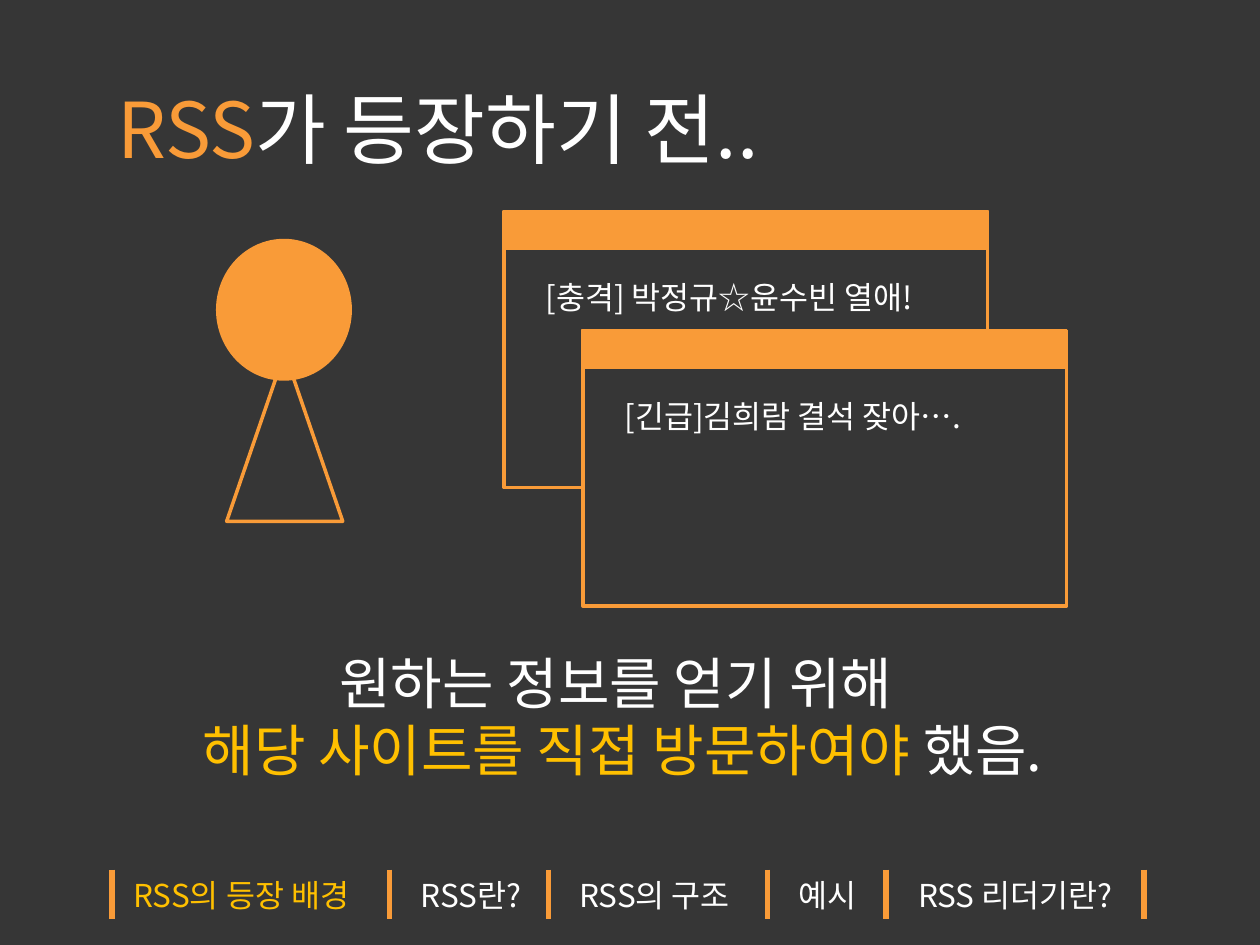
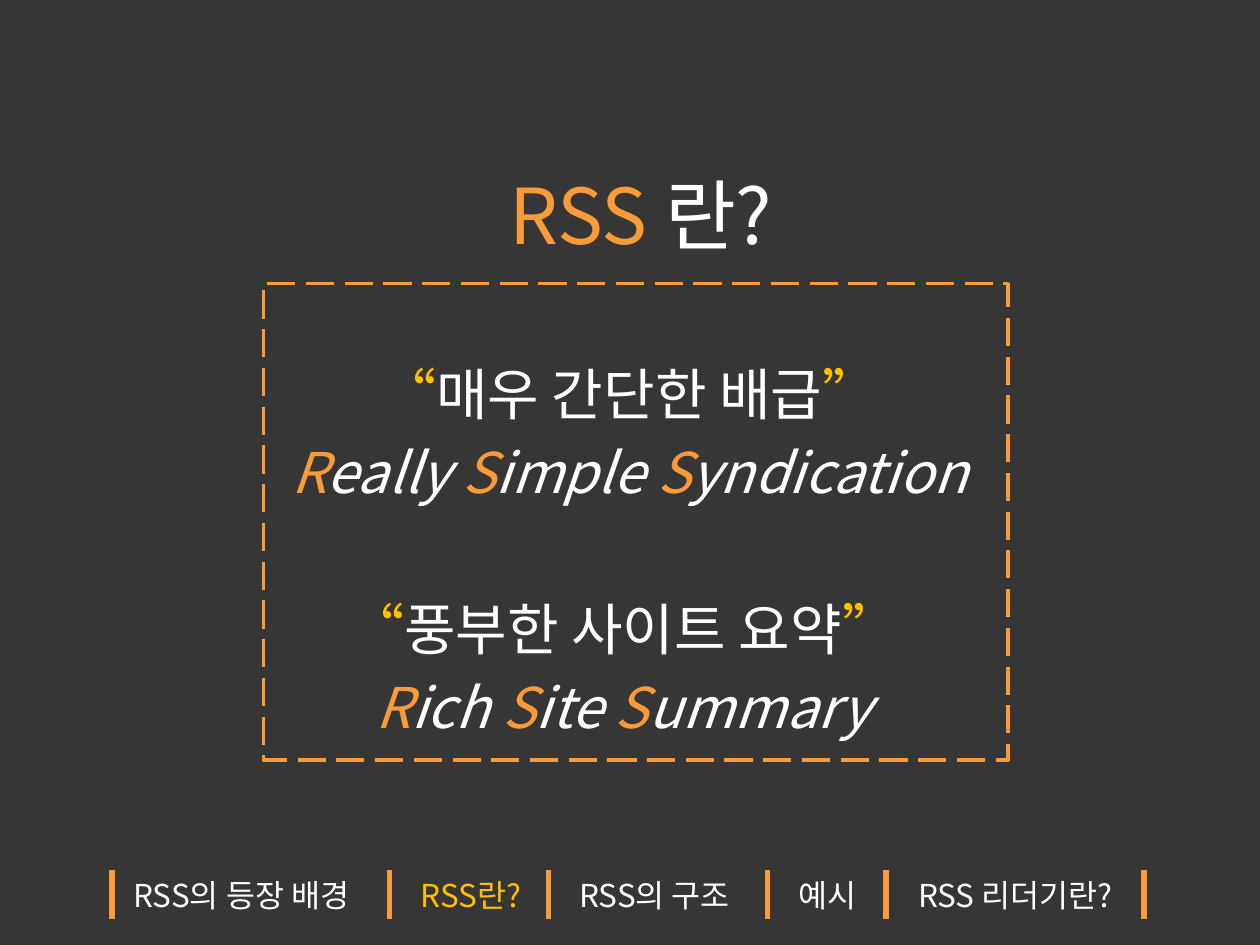
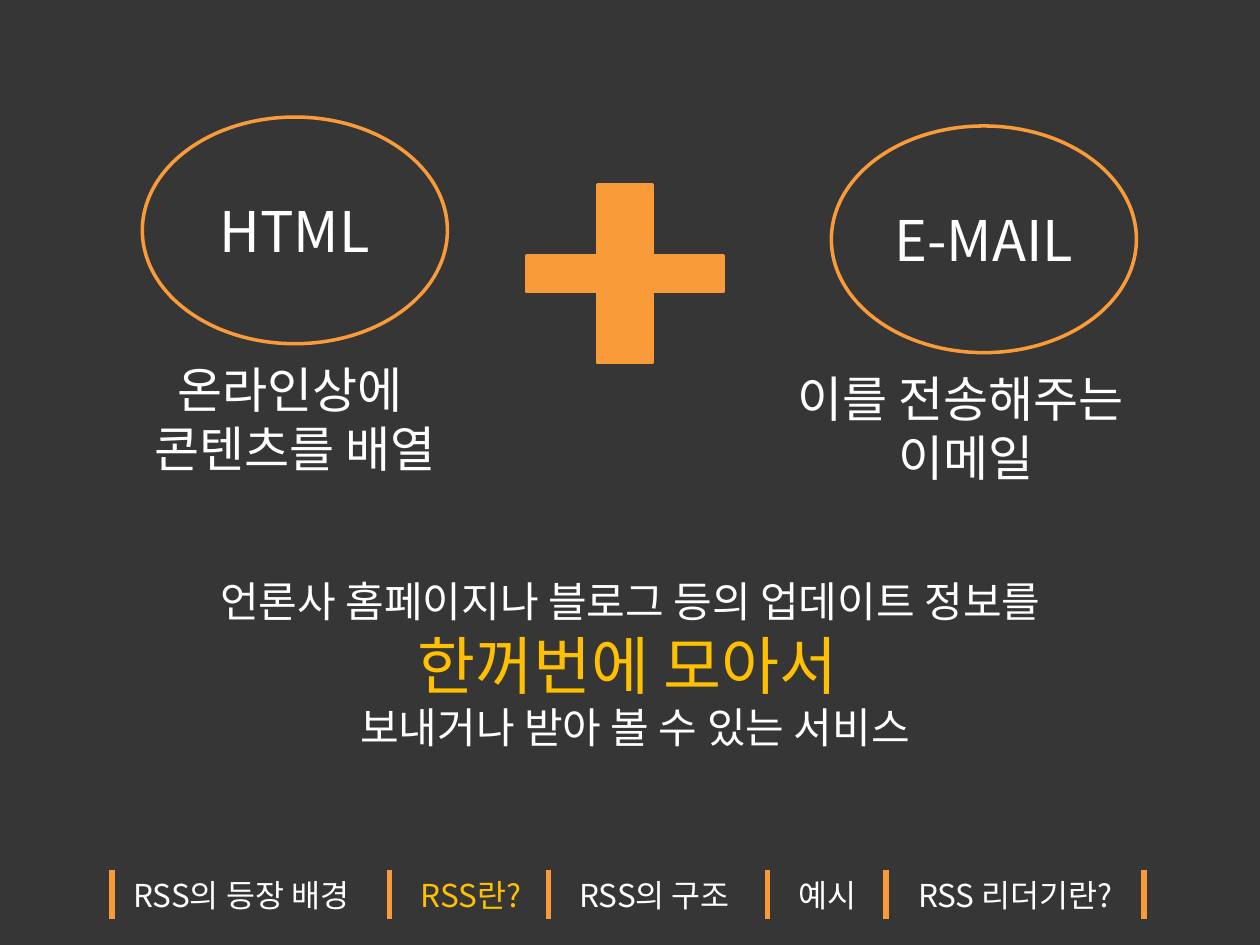
from lxml import etree
from pptx import Presentation
from pptx import util as u
from pptx.dml import color
from pptx.enum import dml, shapes, text
from pptx.oxml import ns

# ---- Shared style ----
FONT = "Noto Sans CJK KR"
COLORS = {"bg": "363636", "accent": "F99B38", "white": "FFFFFF", "gold": "FFC000"}
CENTER = text.PP_ALIGN.CENTER
LEFT = text.PP_ALIGN.LEFT

# ---- Content: a paragraph is a list of (text, colour) runs ----
# Tabs: label, divider left, gap to label, label width (cm)
TABS = [
    ("RSS의 등장 배경", 2.26, 0.18, 5.26),
    ("RSS란?", 7.85, 0.38, 2.54),
    ("RSS의 구조", 11.05, 0.38, 3.76),
    ("예시", 15.47, 0.38, 1.8),
    ("RSS 리더기란?", 17.86, 0.4, 4.67),
]
TABS_END, TABS_TOP, TABS_HEIGHT = 23.06, 17.53, 0.99

BEFORE_TITLE = [("RSS", "accent"), ("가 등장하기 전..", "white")]
WINDOWS = [  # left, top, headline
    (10.16, 4.27, "[충격] 박정규☆윤수빈 열애!"),
    (11.75, 6.66, "[긴급]김희람 결석 잦아…."),
]
BEFORE_SUMMARY = [
    [("원하는 정보를 얻기 위해 ", "white")],
    [("해당 사이트를 직접 방문하여야 ", "gold"), ("했음.", "white")],
]

WHAT_TITLE = [("RSS ", "accent"), ("란?", "white")]
MEANINGS = [  # Korean meaning, English words
    ([("“", "gold"), ("매우 간단한 배급", "white"), ("”", "gold")],
     [("R", "accent"), ("eally ", "white"), ("S", "accent"), ("imple ", "white"),
      ("S", "accent"), ("yndication", "white")]),
    ([("“", "gold"), ("풍부한 사이트 요약", "white"), ("” ", "gold")],
     [("R", "accent"), ("ich ", "white"), ("S", "accent"), ("ite ", "white"),
      ("S", "accent"), ("ummary ", "white")]),
]

PARTS = [  # ellipse left, top, label, caption left, width, caption lines
    (2.87, 2.36, "HTML", 2.49, 6.93, ["온라인상에 ", "콘텐츠를 배열"]),
    (16.76, 2.54, "E-MAIL", 15.19, 8.33, ["이를 전송해주는", " 이메일"]),
]
SERVICE = [  # text, colour, size
    ("언론사 홈페이지나 블로그 등의 업데이트 정보를 ", "white", 24),
    ("한꺼번에 모아서 ", "gold", 36),
    ("보내거나 받아 볼 수 있는 서비스", "white", 24),
]


# ---- Helpers ----
def rgb(name):
    return color.RGBColor.from_string(COLORS[name])


def cm(*lengths):
    return [u.Cm(n) for n in lengths]


def add_runs(p, runs, align=LEFT, **fmt):
    p.alignment = align
    for words, tone in runs:
        r = p.add_run()
        r.text = words
        r.font.color.rgb = rgb(tone)
        for key, value in {"name": FONT, **fmt}.items():
            setattr(r.font, key, value)
        etree.SubElement(r.font._element, ns.qn("a:ea"), typeface=FONT)


def next_paragraph(tf):
    return tf.add_paragraph() if tf.paragraphs[0].runs else tf.paragraphs[0]


def add_text(slide, box, paragraphs, size, align=LEFT, wrap=True):
    tf = slide.shapes.add_textbox(*cm(*box)).text_frame
    tf.word_wrap = wrap
    tf.auto_size = text.MSO_AUTO_SIZE.SHAPE_TO_FIT_TEXT
    for runs in paragraphs:
        add_runs(next_paragraph(tf), runs, align, size=u.Pt(size))
    return tf


def add_shape(slide, kind, box, fill=None):
    sp = slide.shapes.add_shape(kind, *cm(*box))
    sp.shadow.inherit = False
    if fill:
        sp.fill.solid()
        sp.fill.fore_color.rgb = rgb(fill)
    else:
        sp.fill.background()
    sp.line.color.rgb = rgb("accent")
    sp.line.width = u.Pt(2)
    return sp


def place(sp, box, anchor):
    sp.left, sp.top, sp.width, sp.height = cm(*box)
    tf = sp.text_frame
    tf.vertical_anchor = anchor
    tf.auto_size = text.MSO_AUTO_SIZE.NONE
    tf.word_wrap = True
    return tf


def set_title(slide, box, runs, align, anchor):
    tf = place(slide.shapes.title, box, anchor)
    add_runs(tf.paragraphs[0], runs, align, size=u.Pt(44))


def add_tabs(slide, active):
    for x in [tab[1] for tab in TABS] + [TABS_END]:
        line = slide.shapes.add_connector(
            shapes.MSO_CONNECTOR.STRAIGHT,
            *cm(x, TABS_TOP, x, TABS_TOP + TABS_HEIGHT))
        line.line.color.rgb = rgb("accent")
        line.line.width = u.Pt(3)
        etree.SubElement(line._element.spPr, ns.qn("a:effectLst"))
    for i, (label, x, gap, width) in enumerate(TABS):
        tone = "gold" if i == active else "white"
        add_text(slide, (x + gap, TABS_TOP, width, 1.02), [[(label, tone)]], 18, wrap=False)


# ---- Slides ----
def build_before(prs):
    slide = prs.slides.add_slide(prs.slide_layouts[5])
    set_title(slide, (2.11, 1.52, 15.19, 2.13), BEFORE_TITLE, LEFT, text.MSO_ANCHOR.TOP)
    # Reader
    add_shape(slide, shapes.MSO_SHAPE.ISOSCELES_TRIANGLE, (4.57, 7.11, 2.34, 3.4))
    add_shape(slide, shapes.MSO_SHAPE.OVAL, (4.39, 4.85, 2.67, 2.79), "accent")
    # Browser windows
    for x, y, headline in WINDOWS:
        add_shape(slide, shapes.MSO_SHAPE.RECTANGLE, (x, y, 9.75, 5.56), "bg")
        add_shape(slide, shapes.MSO_SHAPE.RECTANGLE, (x, y, 9.75, 0.74), "accent")
        add_text(slide, (x + 0.59, y + 1.21, 8.48, 1.02), [[(headline, "white")]], 18)
    add_text(slide, (1.3, 12.95, 22.5, 3), BEFORE_SUMMARY, 32, CENTER)
    add_tabs(slide, 0)


def build_what(prs):
    slide = prs.slides.add_slide(prs.slide_layouts[1])
    # Dashed frame, behind the text
    frame = add_shape(slide, shapes.MSO_SHAPE.RECTANGLE, (5.31, 5.72, 15.01, 9.6), "bg")
    frame.line.dash_style = dml.MSO_LINE.LONG_DASH
    slide.shapes._spTree.insert(2, frame._element)
    set_title(slide, (9.3, 2.72, 7.24, 3.18), WHAT_TITLE, CENTER, text.MSO_ANCHOR.MIDDLE)
    # Two readings of the acronym
    tf = place(slide.placeholders[1], (4.09, 5.54, 17.2, 9.4), text.MSO_ANCHOR.TOP)
    tf.margin_top = u.Cm(1.7)
    for i, meaning in enumerate(MEANINGS):
        for runs, italic in zip(meaning, (False, True)):
            p = next_paragraph(tf)
            add_runs(p, runs, CENTER, size=u.Pt(32), italic=italic)
            if i and not italic:
                p.space_before = u.Pt(51)
            etree.SubElement(p._p.get_or_add_pPr(), ns.qn("a:buNone"))
    add_tabs(slide, 1)


def build_service(prs):
    slide = prs.slides.add_slide(prs.slide_layouts[6])
    # Two parts and their captions
    for x, y, label, cap_x, cap_w, lines in PARTS:
        sp = add_shape(slide, shapes.MSO_SHAPE.OVAL, (x, y, 6.15, 4.57))
        sp.text_frame.vertical_anchor = text.MSO_ANCHOR.MIDDLE
        add_runs(sp.text_frame.paragraphs[0], [(label, "white")], CENTER, size=u.Pt(32))
        add_text(slide, (cap_x, y + 4.76, cap_w, 2.64),
                 [[(line, "white")] for line in lines], 28, CENTER)
    # Summary
    tf = add_text(slide, (0.1, 11.48, 25.4, 3.84), [], 24)
    for words, tone, size in SERVICE:
        add_runs(next_paragraph(tf), [(words, tone)], CENTER, size=u.Pt(size))
    plus = add_shape(slide, shapes.MSO_SHAPE.CROSS, (10.62, 3.73, 3.96, 3.58), "accent")
    plus.adjustments[0] = 0.4
    add_tabs(slide, 1)


def main():
    prs = Presentation()
    prs.slide_width, prs.slide_height = cm(25.4, 19.05)
    fill = prs.slide_master.background.fill
    fill.solid()
    fill.fore_color.rgb = rgb("bg")
    for build in (build_before, build_what, build_service):
        build(prs)
    prs.save("out.pptx")


if __name__ == "__main__":
    main()
